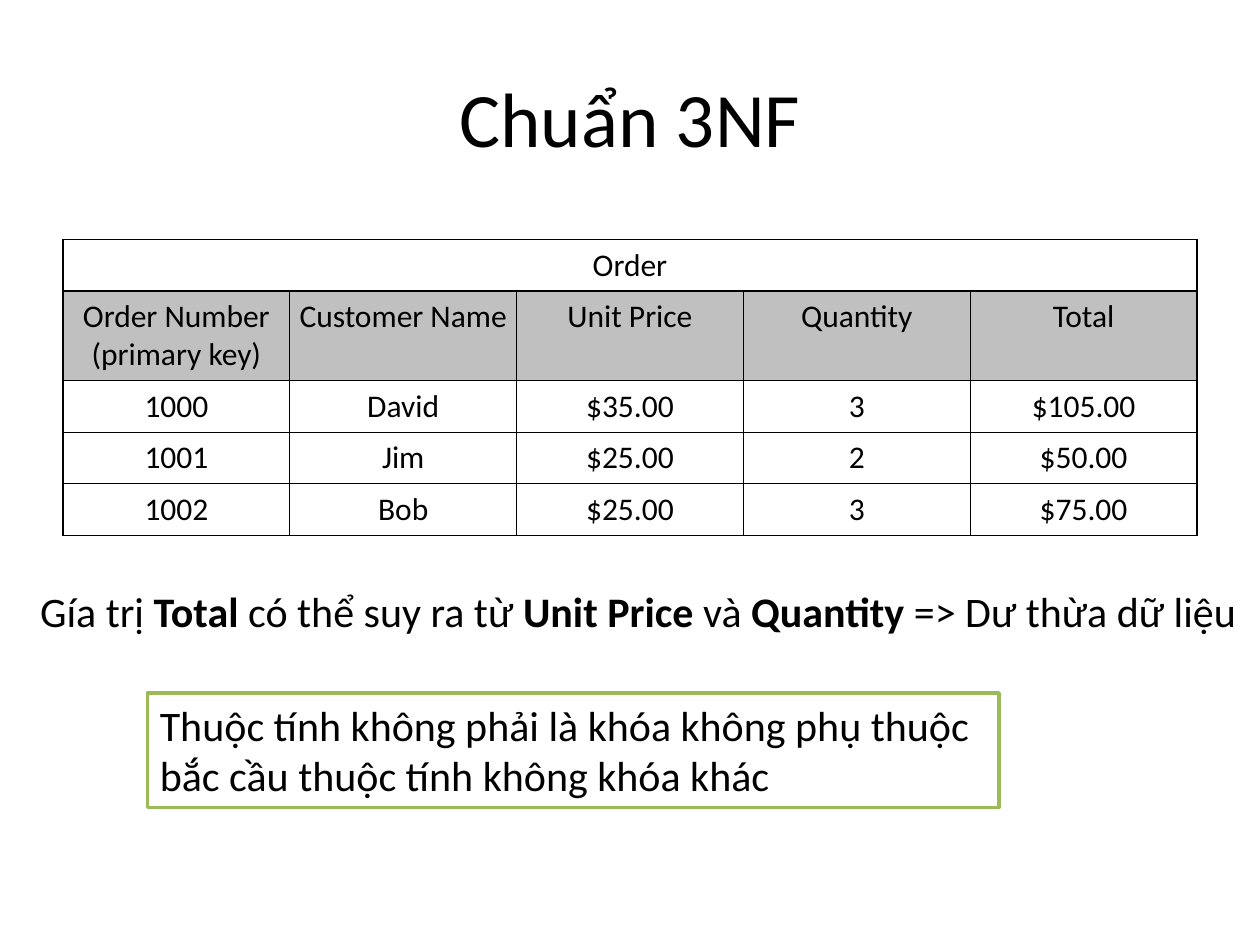
import pptx
import pptx.util
import pptx.dml.color
import pptx.enum.text
import pptx.oxml
import pptx.oxml.ns

FONT = "Calibri"
TITLE = "Chuẩn 3NF"
ROWS = [
    ["Order", "", "", "", ""],
    ["Order Number\v(primary key)", "Customer Name", "Unit Price", "Quantity", "Total"],
    ["1000", "David", "$35.00", "3", "$105.00"],
    ["1001", "Jim", "$25.00", "2", "$50.00"],
    ["1002", "Bob", "$25.00", "3", "$75.00"],
]
HEADER_ROW = 1
ROW_H, HEADER_H = 0.41, 0.71
NOTE = [[
    ("Gía trị ", False), ("Total ", True), ("có thể suy ra từ ", False),
    ("Unit Price ", True), ("và ", False), ("Quantity", True),
    (" => Dư thừa dữ liệu", False),
]]
RULE = [
    [("Thuộc tính không phải là khóa không phụ thuộc", False)],
    [("bắc cầu thuộc tính không khóa khác", False)],
]
SLIDE_W, SLIDE_H = 10, 7.5
MARGIN = SLIDE_W * 0.05
CONTENT_W = SLIDE_W - 2 * MARGIN
Inches, Pt = pptx.util.Inches, pptx.util.Pt
ANCHOR = pptx.enum.text.MSO_ANCHOR
CENTER = pptx.enum.text.PP_ALIGN.CENTER


def color(value):
    return pptx.dml.color.RGBColor.from_string(value)


def box(*lengths):
    return [Inches(v) for v in lengths]


def style(r, size, bold=False):
    r.font.name = FONT
    r.font.size = Pt(size)
    r.font.bold = bold
    r.font.color.rgb = color("000000")


def paint(target, value):
    target.fill.solid()
    target.fill.fore_color.rgb = color(value)


def add_borders(cell):
    for side in "LRTB":
        cell._tc.get_or_add_tcPr().append(pptx.oxml.parse_xml(
            f'<a:ln{side} {pptx.oxml.ns.nsdecls("a")} w="{Pt(0.75)}">'
            f'<a:solidFill><a:srgbClr val="000000"/></a:solidFill></a:ln{side}>'))


def fill_cell(cell, text, header):
    cell.margin_left = cell.margin_right = Inches(0.05)
    cell.margin_top = cell.margin_bottom = Inches(0.05)
    cell.vertical_anchor = ANCHOR.TOP if header else ANCHOR.MIDDLE
    add_borders(cell)
    paint(cell, "C0C0C0" if header else "FFFFFF")
    cell.text_frame.text = text
    p = cell.text_frame.paragraphs[0]
    p.alignment = CENTER
    for r in p.runs:
        style(r, 18)


def add_table(s):
    heights = [HEADER_H if i == HEADER_ROW else ROW_H for i in range(len(ROWS))]
    columns = len(ROWS[0])
    table = s.shapes.add_table(
        len(ROWS), columns, *box(MARGIN, 1.9, CONTENT_W, sum(heights))).table
    for column in table.columns:
        column.width = Inches(CONTENT_W / columns)
    for i, (row, height) in enumerate(zip(ROWS, heights)):
        table.rows[i].height = Inches(height)
        for j, text in enumerate(row):
            fill_cell(table.cell(i, j), text, i == HEADER_ROW)
    table.cell(0, 0).merge(table.cell(0, columns - 1))


def add_text(s, paragraphs, *place):
    sp = s.shapes.add_textbox(*box(*place))
    tf = sp.text_frame
    tf.word_wrap = False
    tf.auto_size = pptx.enum.text.MSO_AUTO_SIZE.SHAPE_TO_FIT_TEXT
    for i, runs in enumerate(paragraphs):
        p = tf.add_paragraph() if i else tf.paragraphs[0]
        for text, bold in runs:
            r = p.add_run()
            r.text = text
            style(r, 24, bold)
    return sp


def main():
    prs = pptx.Presentation()
    prs.slide_width, prs.slide_height = box(SLIDE_W, SLIDE_H)
    s = prs.slides.add_slide(prs.slide_layouts[5])

    title = s.shapes.title
    title.left, title.top, title.width, title.height = box(MARGIN, 0.3, CONTENT_W, 1.25)
    tf = title.text_frame
    tf.text = TITLE
    tf.vertical_anchor = ANCHOR.MIDDLE
    tf.paragraphs[0].alignment = CENTER
    style(tf.paragraphs[0].runs[0], 44)

    add_table(s)
    add_text(s, NOTE, 0.22, 4.6, 9.78, 0.5)
    rule = add_text(s, RULE, 1.17, 5.5, 6.76, 0.91)
    paint(rule, "FFFFFF")
    rule.line.color.rgb = color("9BBB59")
    rule.line.width = Pt(2)

    prs.save("out.pptx")


if __name__ == "__main__":
    main()
